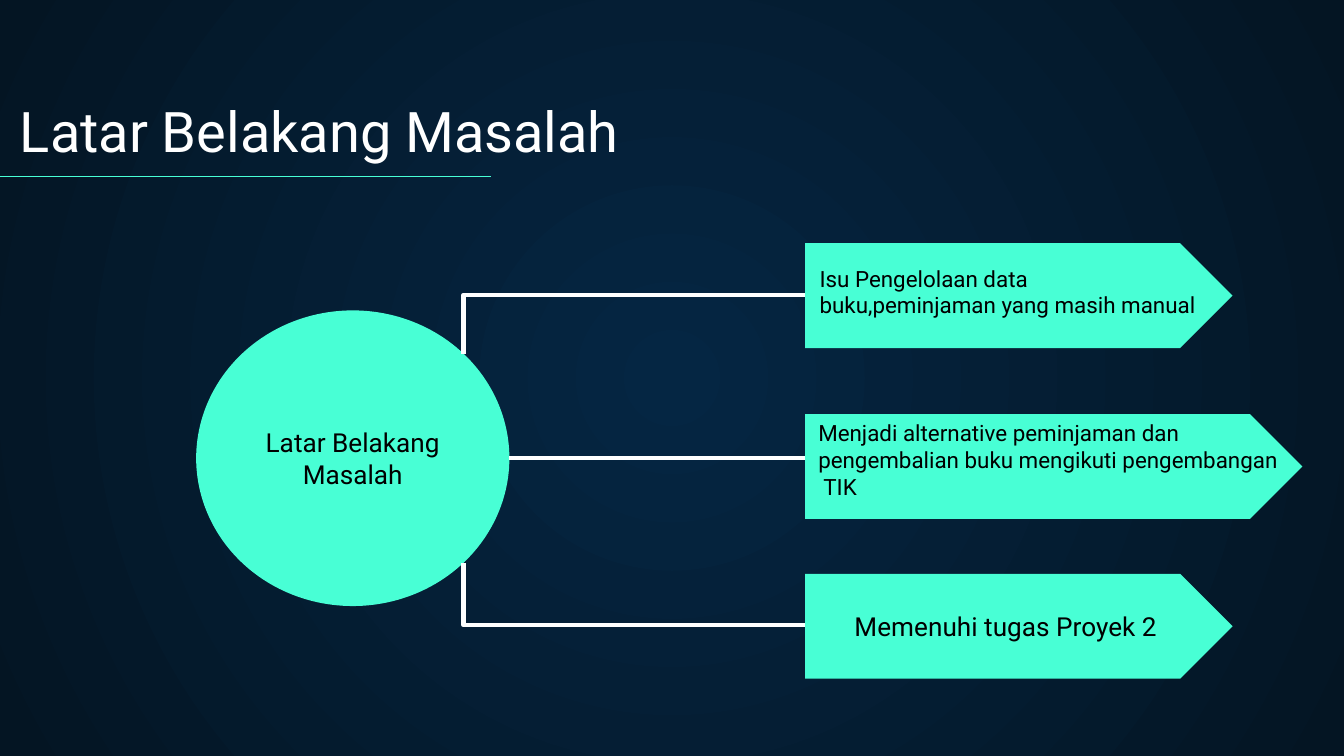
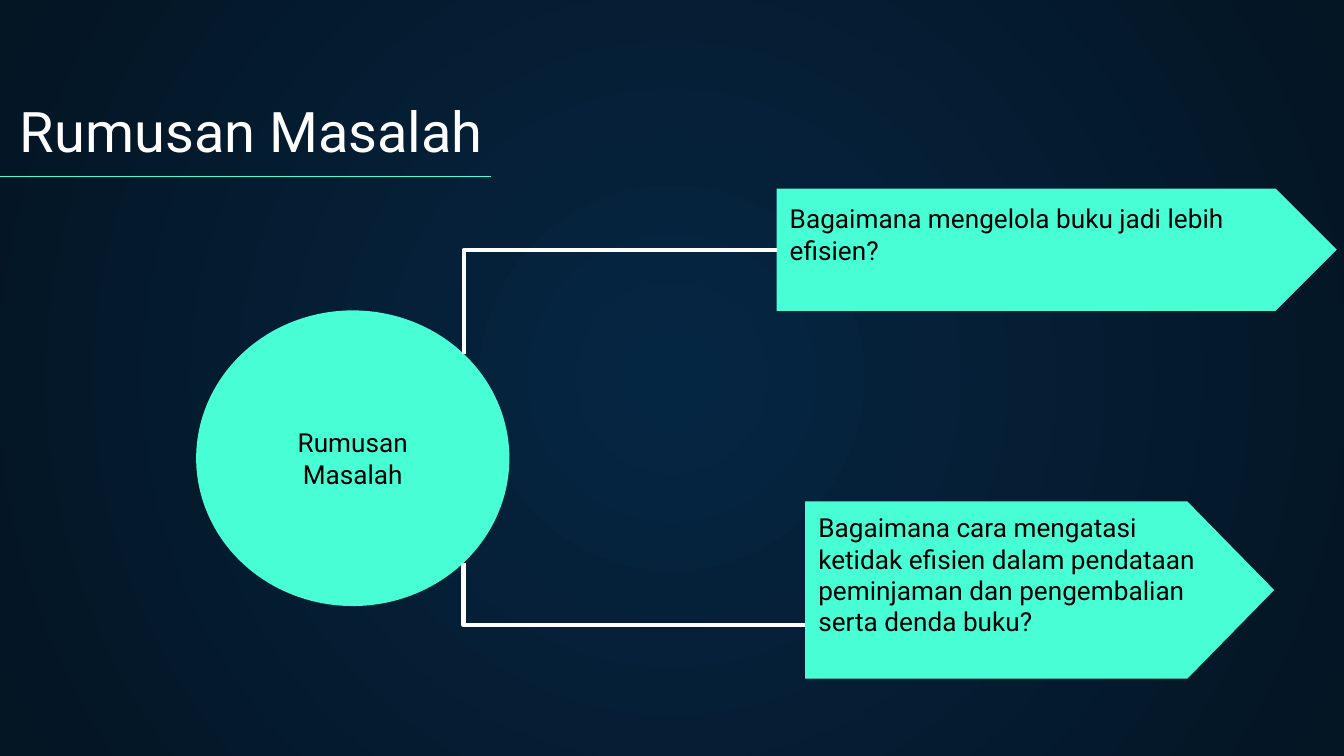
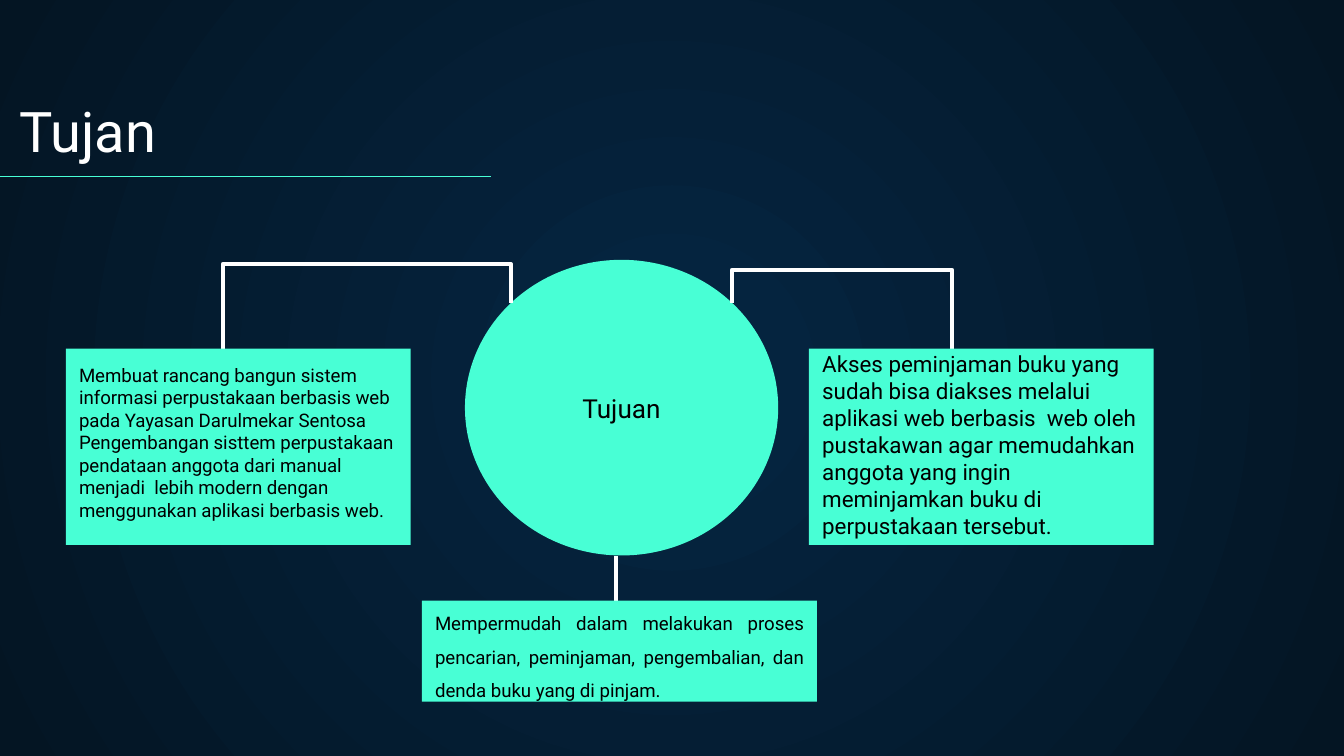
from lxml.etree import SubElement
from pptx import Presentation
from pptx.dml.color import RGBColor
from pptx.enum.shapes import MSO_CONNECTOR, MSO_SHAPE
from pptx.enum.text import MSO_ANCHOR, PP_ALIGN
from pptx.oxml.ns import qn
from pptx.util import Pt

COLORS = {
    "mint": "48FFD5",
    "white": "FFFFFF",
    "black": "000000",
    "glow": "052643",
    "night": "041523",
}
FONT = "Roboto"
INSET = 7.2
CIRCLE_SIZE = (167.8, 158.4)
TAG_LEFT = 431.3
TAG_HEIGHT = 56.2
CIRCLE_TOP_RIGHT = (248.4, 189.4)
CIRCLE_BOTTOM_RIGHT = (248.4, 301.7)


def color(name):
    return RGBColor.from_string(COLORS[name])


def points(*values):
    return [Pt(value) for value in values]


def paint_background(master):
    """Fill the master with a round gradient that all pages inherit."""
    fill = master.background.fill
    fill.gradient()
    for stop, name in zip(fill.gradient_stops, ("glow", "night")):
        stop.color.rgb = color(name)
    gradient = master.element.find(".//" + qn("a:gradFill"))
    gradient.remove(gradient.find(qn("a:lin")))
    circle = SubElement(gradient, qn("a:path"), {"path": "circle"})
    SubElement(circle, qn("a:fillToRect"),
               {side: "50000" for side in ("l", "t", "r", "b")})


def write(shape, text, size=14, ink="black", align=PP_ALIGN.LEFT,
          anchor=MSO_ANCHOR.MIDDLE, bottom=INSET, spacing=None):
    frame = shape.text_frame
    frame.word_wrap = True
    frame.vertical_anchor = anchor
    frame.margin_left = frame.margin_right = frame.margin_top = Pt(INSET)
    frame.margin_bottom = Pt(bottom)
    para = frame.paragraphs[0]
    para.text = text
    para.alignment = align
    para.line_spacing = spacing
    for span in para.runs:
        span.font.name = FONT
        span.font.size = Pt(size)
        span.font.color.rgb = color(ink)


def add_text(page, area, text, **style):
    box = page.shapes.add_textbox(*points(*area))
    write(box, text, anchor=MSO_ANCHOR.BOTTOM, **style)


def add_block(page, kind, area, text="", **style):
    block = page.shapes.add_shape(kind, *points(*area))
    block.shadow.inherit = False
    block.fill.solid()
    block.fill.fore_color.rgb = color("mint")
    block.line.fill.background()
    if text:
        write(block, text, **style)
    return block


def add_circle(page, left, top, text):
    add_block(page, MSO_SHAPE.OVAL, (left, top, *CIRCLE_SIZE), text,
              align=PP_ALIGN.CENTER)


def add_line(page, start, end, ink="white", width=2.25, kind=MSO_CONNECTOR.STRAIGHT):
    line = page.shapes.add_connector(kind, *points(*start, *end))
    line.line.color.rgb = color(ink)
    line.line.width = Pt(width)
    SubElement(line._element.spPr, qn("a:effectLst"))
    return line


def add_elbow(page, start, end, turn=None):
    """Leave start sideways and reach end upright; turn is the first x and the second y."""
    elbow = add_line(page, start, end, kind=MSO_CONNECTOR.ELBOW)
    geometry = elbow._element.spPr.find(qn("a:prstGeom"))
    geometry.set("prst", "bentConnector4" if turn else "bentConnector2")
    if turn:
        guides = geometry.find(qn("a:avLst"))
        for number, (a, b, via) in enumerate(zip(start, end, turn), 1):
            ratio = round((via - a) / (b - a) * 100000)
            SubElement(guides, qn("a:gd"),
                       {"name": f"adj{number}", "fmla": f"val {ratio}"})


def add_page(deck, title):
    page = deck.slides.add_slide(deck.slide_layouts[6])
    add_text(page, (3.6, 47.5, 617, 47.5), title, size=30, ink="white")
    add_line(page, (0, 94.5), (262.8, 94.5), ink="mint", width=0.75)
    return page


def build_background_page(deck):
    page = add_page(deck, "Latar Belakang Masalah")
    for top, width in ((130.3, 229), (221.8, 266.4)):
        add_block(page, MSO_SHAPE.PENTAGON, (TAG_LEFT, top, width, TAG_HEIGHT))
    add_text(page, (432, 123.8, 219, 68.4),
             "Isu Pengelolaan data buku,peminjaman yang masih manual",
             size=12, bottom=INSET + 14.4)
    add_text(page, (TAG_LEFT, 233.3, 288, TAG_HEIGHT),
             "Menjadi alternative peminjaman dan\v"
             "pengembalian buku mengikuti pengembangan\v TIK",
             size=12, bottom=INSET + 14.4)
    add_circle(page, 105.1, 166.3, "Latar Belakang Masalah")
    add_block(page, MSO_SHAPE.PENTAGON, (TAG_LEFT, 307.4, 229, TAG_HEIGHT),
              "Memenuhi tugas Proyek 2", align=PP_ALIGN.CENTER)
    add_elbow(page, (TAG_LEFT, 158), CIRCLE_TOP_RIGHT)
    add_line(page, (272.9, 245.5), (TAG_LEFT, 245.5))
    add_elbow(page, (TAG_LEFT, 335), CIRCLE_BOTTOM_RIGHT)


def build_question_page(deck):
    page = add_page(deck, "Rumusan Masalah")
    add_block(page, MSO_SHAPE.PENTAGON, (416, 101, 300.2, 65.5),
              "Bagaimana mengelola buku jadi lebih efisien?", bottom=24)
    add_circle(page, 105.1, 166.3, "Rumusan Masalah")
    tag = add_block(page, MSO_SHAPE.PENTAGON, (TAG_LEFT, 268.6, 251.3, 95),
                    "Bagaimana cara mengatasi ketidak efisien dalam pendataan "
                    "peminjaman dan pengembalian serta denda buku?", bottom=24)
    tag.adjustments[0] = 0.49
    add_elbow(page, (416, 133.9), CIRCLE_TOP_RIGHT)
    add_elbow(page, (TAG_LEFT, 335), CIRCLE_BOTTOM_RIGHT)


def build_goal_page(deck):
    page = add_page(deck, "Tujan")
    add_circle(page, 249.1, 139.2, "Tujuan")
    add_elbow(page, (51.1, 226.8), (273.6, 162.5), turn=(119.3, 141.5))
    add_elbow(page, (603.4, 233.3), (392.2, 162.5), turn=(510, 144.6))
    add_line(page, (329.8, 298), (329.8, 321.8))
    add_block(page, MSO_SHAPE.RECTANGLE, (35.3, 186.8, 184.7, 105.2),
              "Membuat rancang bangun sistem informasi perpustakaan berbasis web "
              "pada Yayasan Darulmekar Sentosa Pengembangan sisttem perpustakaan "
              "pendataan anggota dari manual menjadi  lebih modern dengan "
              "menggunakan aplikasi berbasis web.", size=10, bottom=12)
    add_block(page, MSO_SHAPE.RECTANGLE, (433.4, 186.8, 184.7, 105.2),
              "Akses peminjaman buku yang sudah bisa diakses melalui aplikasi web "
              "berbasis  web oleh pustakawan agar memudahkan anggota yang ingin "
              "meminjamkan buku di perpustakaan tersebut.", size=12, bottom=9.6)
    add_block(page, MSO_SHAPE.RECTANGLE, (226, 321.8, 211.7, 54.2),
              "Mempermudah dalam melakukan proses pencarian, peminjaman, "
              "pengembalian, dan denda buku yang di pinjam.",
              size=10, align=PP_ALIGN.JUSTIFY, spacing=1.5)


def main():
    deck = Presentation()
    deck.slide_width, deck.slide_height = points(720, 405)
    paint_background(deck.slide_master)
    build_background_page(deck)
    build_question_page(deck)
    build_goal_page(deck)
    deck.save("out.pptx")


if __name__ == "__main__":
    main()
